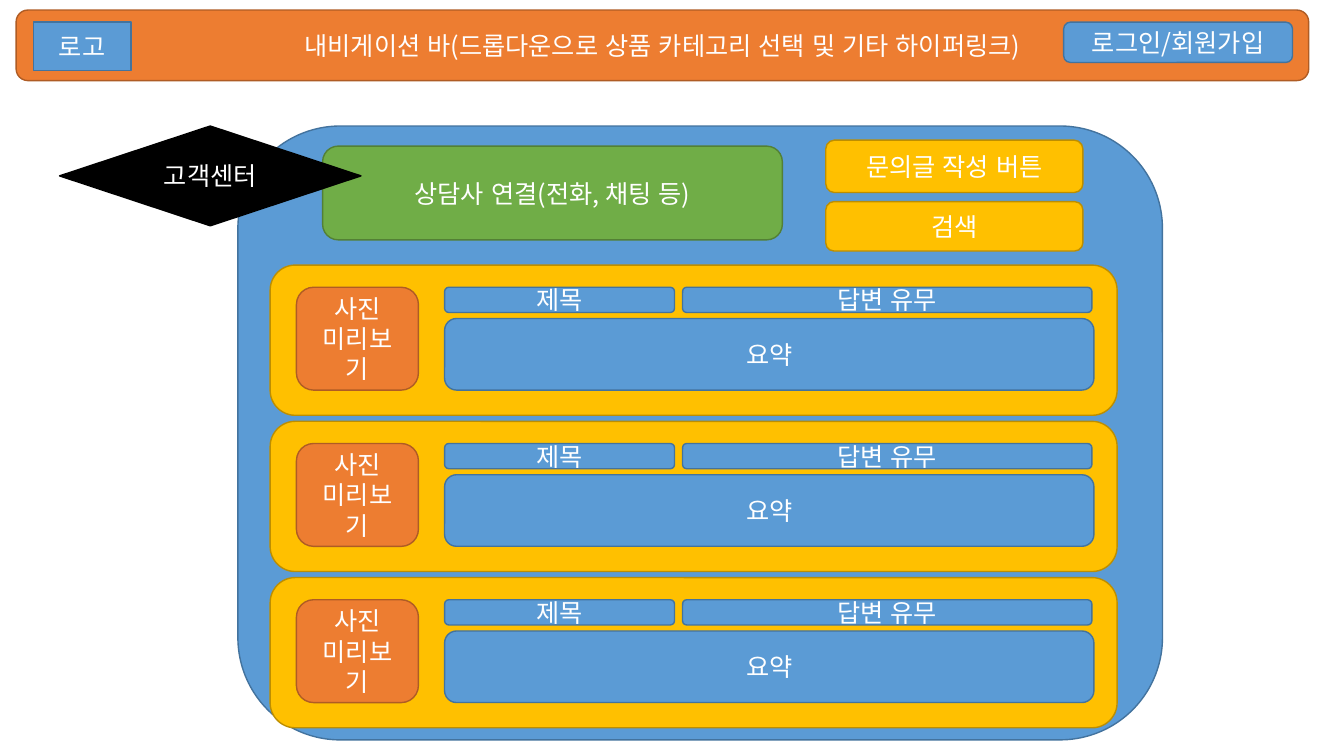
import pptx
import pptx.dml.color
import pptx.enum.lang
import pptx.enum.shapes
import pptx.enum.text
import pptx.oxml.ns
import pptx.util
import lxml.etree

Inches = pptx.util.Inches
KIND = pptx.enum.shapes.MSO_SHAPE
ROUND = KIND.ROUNDED_RECTANGLE
FONT = "Noto Sans CJK KR"

# Each pair is fill, line
BLUE = ("5B9BD5", "43739E")
ORANGE = ("ED7D31", "AF5C24")
GOLD = ("FFC000", "BD8E00")
GREEN = ("70AD47", "538035")
BLACK = ("000000", "000000")

CARD_TOP = 2.63
CARD_STEP = 1.55
CARD_COUNT = 3


def paint(color, value):
    color.rgb = pptx.dml.color.RGBColor.from_string(value)


def style(run):
    """Format a run, naming the font for Latin and Korean letters alike."""
    font = run.font
    font.size = pptx.util.Pt(18)
    font.language_id = pptx.enum.lang.MSO_LANGUAGE_ID.KOREAN
    font.fill.solid()
    paint(font.fill.fore_color, "FFFFFF")
    font.name = FONT
    props = run._r.get_or_add_rPr()
    lxml.etree.SubElement(props, pptx.oxml.ns.qn("a:ea"), typeface=FONT)


def add_box(slide, left, top, width, height, colors, text="", kind=ROUND):
    box = slide.shapes.add_shape(
        kind, Inches(left), Inches(top), Inches(width), Inches(height))
    box.shadow.inherit = False
    fill, line = colors
    box.fill.solid()
    paint(box.fill.fore_color, fill)
    paint(box.line.color, line)
    box.line.width = pptx.util.Pt(1)
    if text:
        frame = box.text_frame
        frame.text = text
        frame.word_wrap = True
        frame.vertical_anchor = pptx.enum.text.MSO_ANCHOR.MIDDLE
        para = frame.paragraphs[0]
        para.alignment = pptx.enum.text.PP_ALIGN.CENTER
        style(para.runs[0])


def add_header(slide):
    add_box(slide, 0.16, 0.1, 12.82, 0.7, ORANGE,
            "내비게이션 바(드롭다운으로 상품 카테고리 선택 및 기타 하이퍼링크)")
    add_box(slide, 0.33, 0.22, 0.97, 0.48, BLUE, "로고", KIND.RECTANGLE)
    add_box(slide, 10.55, 0.22, 2.27, 0.4, BLUE, "로그인/회원가입")


def add_card(slide, top):
    """Draw one inquiry with its photo, title, answer state and summary."""
    add_box(slide, 2.68, top, 8.4, 1.49, GOLD)
    add_box(slide, 2.94, top + 0.22, 1.21, 1.02, ORANGE, "사진 미리보기")
    add_box(slide, 4.41, top + 0.53, 6.44, 0.71, BLUE, "요약")
    add_box(slide, 4.41, top + 0.22, 2.28, 0.25, BLUE, "제목")
    add_box(slide, 6.77, top + 0.22, 4.06, 0.25, BLUE, "답변 유무")


def add_tools(slide):
    add_box(slide, 8.19, 1.39, 2.55, 0.52, GOLD, "문의글 작성 버튼")
    add_box(slide, 8.19, 2, 2.55, 0.49, GOLD, "검색")
    add_box(slide, 3.2, 1.45, 4.56, 0.93, GREEN, "상담사 연결(전화, 채팅 등)")
    add_box(slide, 0.59, 1.25, 2.99, 0.99, BLACK, "고객센터",
            KIND.FLOWCHART_DECISION)


def main():
    deck = pptx.Presentation()
    deck.slide_width = Inches(13.33)
    deck.slide_height = Inches(7.5)
    slide = deck.slides.add_slide(deck.slide_layouts[6])
    add_header(slide)
    add_box(slide, 2.36, 1.25, 9.17, 6.09, BLUE)
    for index in range(CARD_COUNT):
        add_card(slide, CARD_TOP + index * CARD_STEP)
    add_tools(slide)
    deck.save("out.pptx")


if __name__ == "__main__":
    main()
